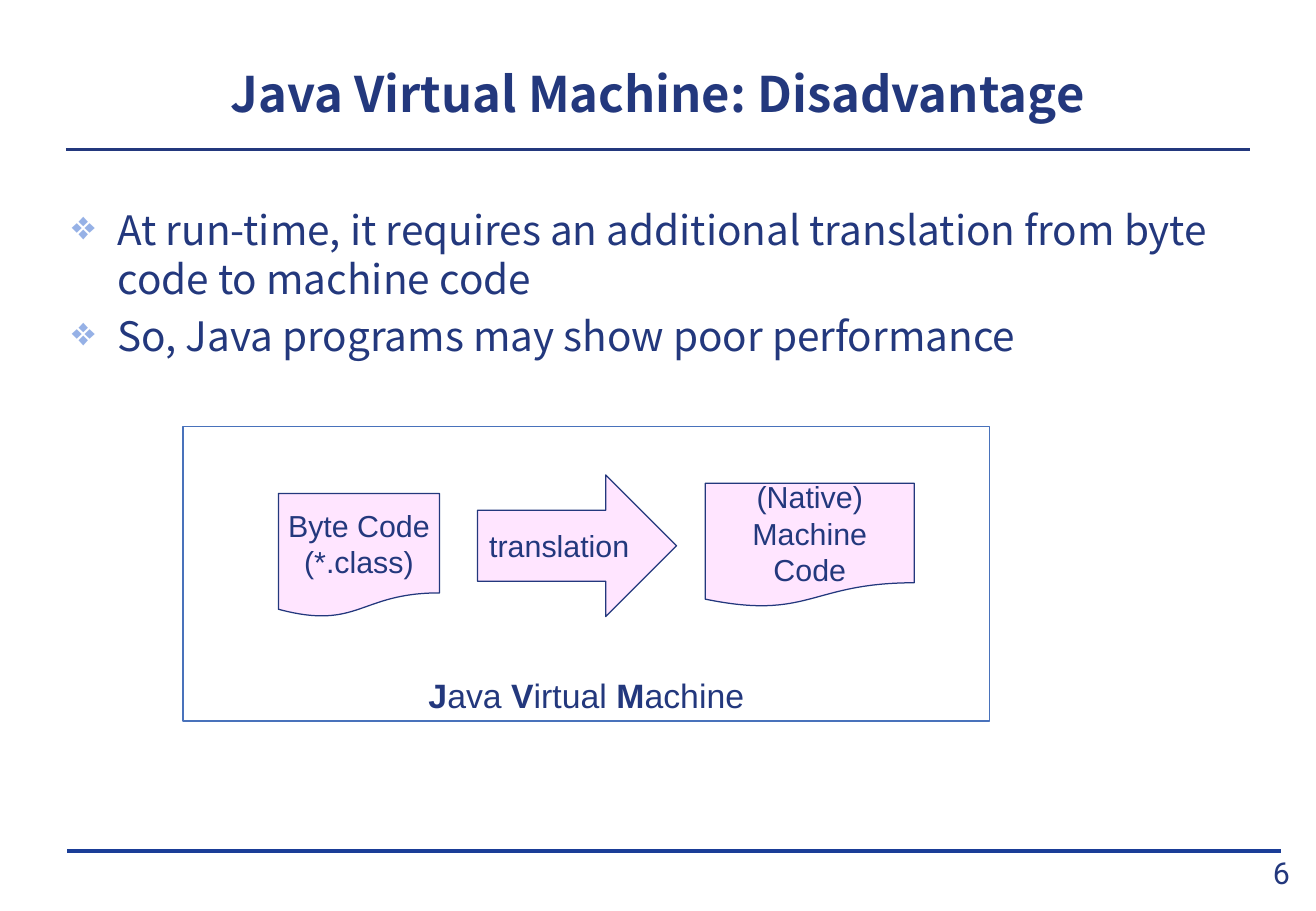
from lxml import etree
from pptx import Presentation
from pptx.dml.color import RGBColor
from pptx.enum.shapes import MSO_CONNECTOR, MSO_SHAPE
from pptx.enum.text import MSO_ANCHOR, PP_ALIGN
from pptx.oxml.ns import qn
from pptx.util import Pt

LINE = MSO_CONNECTOR.STRAIGHT
RECT, ARROW = MSO_SHAPE.RECTANGLE, MSO_SHAPE.RIGHT_ARROW
PAPER = MSO_SHAPE.FLOWCHART_DOCUMENT
TOP, MID, BOTTOM = MSO_ANCHOR.TOP, MSO_ANCHOR.MIDDLE, MSO_ANCHOR.BOTTOM
LEFT, CENTER = PP_ALIGN.LEFT, PP_ALIGN.CENTER

NAVY, BLUE, RULE = "23387D", "4972BB", "1A3D97"
PALE, PINK = "96B1E6", "FF9BFF"
SANS, ARIAL, ROBOTO = "Noto Sans CJK KR", "Arial", "Roboto"


def color(code):
    return RGBColor.from_string(code)


def write(shape, paras, font, size, anchor=MID, align=CENTER, wrap=True):
    """Fill a shape with paragraphs, each a list of (text, bold) runs."""
    frame = shape.text_frame
    frame.word_wrap = wrap
    frame.vertical_anchor = anchor
    for i, runs in enumerate(paras):
        para = frame.add_paragraph() if i else frame.paragraphs[0]
        para.alignment = align
        for text, bold in runs:
            run = para.add_run()
            run.text = text
            run.font.name = font
            run.font.size = Pt(size)
            run.font.bold = bold
            run.font.color.rgb = color(NAVY)
    return frame


def add_text(slide, box, paras, font, size, **style):
    shape = slide.shapes.add_textbox(*map(Pt, box))
    return write(shape, paras, font, size, **style)


def add_rule(slide, x1, x2, y, code, width):
    rule = slide.shapes.add_connector(LINE, Pt(x1), Pt(y), Pt(x2), Pt(y))
    rule.line.color.rgb = color(code)
    rule.line.width = Pt(width)
    etree.SubElement(rule._element.spPr, qn("a:effectLst"))


def add_box(slide, kind, box, edge):
    shape = slide.shapes.add_shape(kind, *map(Pt, box))
    shape.shadow.inherit = False
    shape.fill.background()
    shape.line.color.rgb = color(edge)
    shape.line.width = Pt(0.75)
    return shape


def add_step(slide, kind, box, lines, wrap=False):
    shape = add_box(slide, kind, box, NAVY)
    shape.fill.solid()
    shape.fill.fore_color.rgb = color(PINK)
    tint = shape._element.spPr.find(qn("a:solidFill"))[0]
    etree.SubElement(tint, qn("a:alpha"), val="26000")
    write(shape, [[(line, False)] for line in lines], ARIAL, 18, wrap=wrap)


def add_bullet(para):
    para.line_spacing = Pt(29)
    para.space_before = Pt(4.8)
    props = para._p.get_or_add_pPr()
    props.set("marL", str(Pt(27)))
    props.set("indent", str(-Pt(27)))
    tint = etree.SubElement(props, qn("a:buClr"))
    etree.SubElement(tint, qn("a:srgbClr"), val=PALE)
    etree.SubElement(props, qn("a:buChar"), char="❖")


def main():
    deck = Presentation()
    deck.slide_width, deck.slide_height = Pt(780), Pt(540)
    slide = deck.slides.add_slide(deck.slide_layouts[6])

    # Footer rule and page number
    add_rule(slide, 40, 759, 504.5, RULE, 0)
    page = add_text(slide, (741.5, 506, 36, 22), [[("6", False)]], ROBOTO, 18)
    page.margin_left = page.margin_right = 0
    page.margin_top = page.margin_bottom = 0

    # Title
    add_rule(slide, 39, 741, 88.5, NAVY, 1.5)
    title = "Java Virtual Machine: Disadvantage"
    add_text(slide, (39, 25, 702, 60.5), [[(title, True)]], SANS, 29)

    # Bullets
    points = [
        "At run-time, it requires an additional translation"
        " from byte code to machine code",
        "So, Java programs may show poor performance",
    ]
    body = add_text(slide, (35.5, 118, 702, 384),
                    [[(point, False)] for point in points],
                    SANS, 24, anchor=TOP, align=LEFT)
    for para in body.paragraphs:
        add_bullet(para)

    # Virtual machine frame, initials in bold
    frame = add_box(slide, RECT, (108.5, 253, 478, 174.5), BLUE)
    name = [("J", True), ("ava ", False), ("V", True), ("irtual ", False),
            ("M", True), ("achine", False)]
    write(frame, [name], ARIAL, 20, anchor=BOTTOM)

    # Translation steps
    add_step(slide, PAPER, (165, 292.5, 95.5, 73.5),
             ["Byte Code", "(*.class)"])
    add_step(slide, ARROW, (283, 281.5, 118, 84), ["translation"])
    add_step(slide, PAPER, (418, 286.5, 124, 73.5),
             ["(Native) Machine Code"], wrap=True)

    deck.save("out.pptx")


if __name__ == "__main__":
    main()
